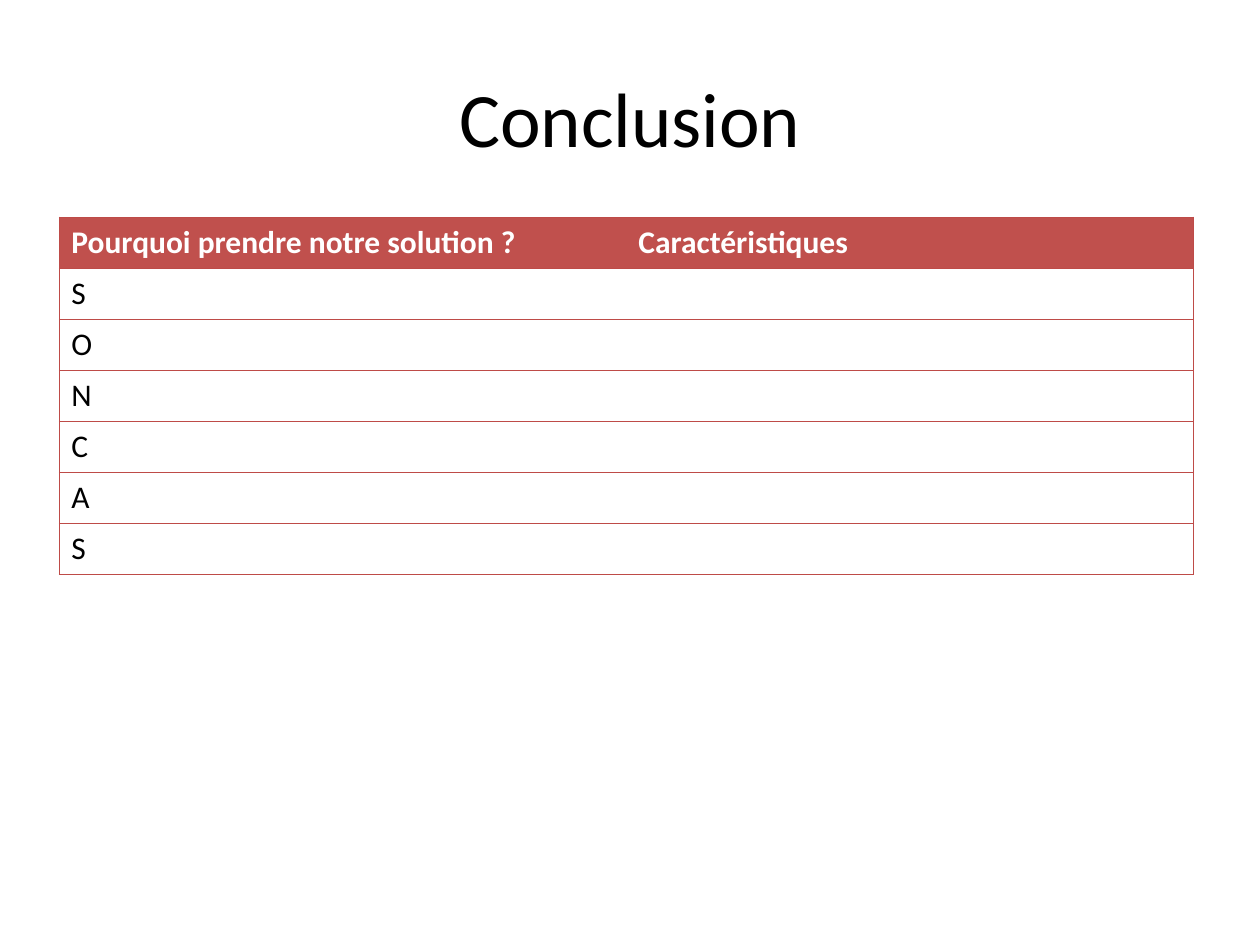
from lxml.etree import SubElement
from pptx import Presentation
from pptx.dml.color import RGBColor
from pptx.enum.text import MSO_ANCHOR, PP_ALIGN
from pptx.oxml.ns import qn
from pptx.util import Cm, Pt

BLACK = RGBColor(0x00, 0x00, 0x00)
WHITE = RGBColor(0xFF, 0xFF, 0xFF)
RED = RGBColor(0xC0, 0x50, 0x4D)
BORDER = RGBColor(0xBE, 0x4B, 0x48)
FONT = "Calibri"
HEADERS = ("Pourquoi prendre notre solution ?", "Caractéristiques")
LETTERS = "SONCAS"


def format_text(tf, size, color, bold=False):
    for p in tf.paragraphs:
        for r in p.runs:
            r.font.name = FONT
            r.font.size = Pt(size)
            r.font.bold = bold
            r.font.color.rgb = color


def add_title(slide, text):
    tf = slide.shapes.add_textbox(Cm(1.27), Cm(0.76), Cm(22.86), Cm(3.18)).text_frame
    tf.word_wrap = True
    tf.vertical_anchor = MSO_ANCHOR.MIDDLE
    tf.text = text
    tf.paragraphs[0].alignment = PP_ALIGN.CENTER
    format_text(tf, 44, BLACK)


def set_borders(cell, visible):
    """Draw the visible sides and hide the others; call before filling the cell."""
    tc_pr = cell._tc.get_or_add_tcPr()
    for side in "LRTB":
        ln = SubElement(tc_pr, qn(f"a:ln{side}"), w=str(Pt(0.34)))
        if side in visible:
            fill = SubElement(ln, qn("a:solidFill"))
            SubElement(fill, qn("a:srgbClr"), val=str(BORDER))
        else:
            SubElement(ln, qn("a:noFill"))


def add_table(slide, rows):
    frame = slide.shapes.add_table(len(rows), len(HEADERS), Cm(1.19), Cm(4.37),
                                   Cm(22.86), Cm(1.03) * len(rows))
    table = frame.table
    table.horz_banding = False
    for i, row in enumerate(rows):
        for j, text in enumerate(row):
            cell = table.cell(i, j)
            set_borders(cell, "LTB" if j == 0 else "RTB")
            cell.margin_left = cell.margin_right = Cm(0.25)
            cell.margin_top = cell.margin_bottom = Cm(0.13)
            cell.text = text
            if i == 0:
                cell.fill.solid()
                cell.fill.fore_color.rgb = RED
                format_text(cell.text_frame, 18, WHITE, bold=True)
            else:
                cell.fill.background()
                format_text(cell.text_frame, 18, BLACK)


def main():
    prs = Presentation()
    prs.slide_width, prs.slide_height = Cm(25.4), Cm(19.05)
    slide = prs.slides.add_slide(prs.slide_layouts[6])
    add_title(slide, "Conclusion")
    add_table(slide, [HEADERS] + [(letter, "") for letter in LETTERS])
    prs.save("out.pptx")


if __name__ == "__main__":
    main()
